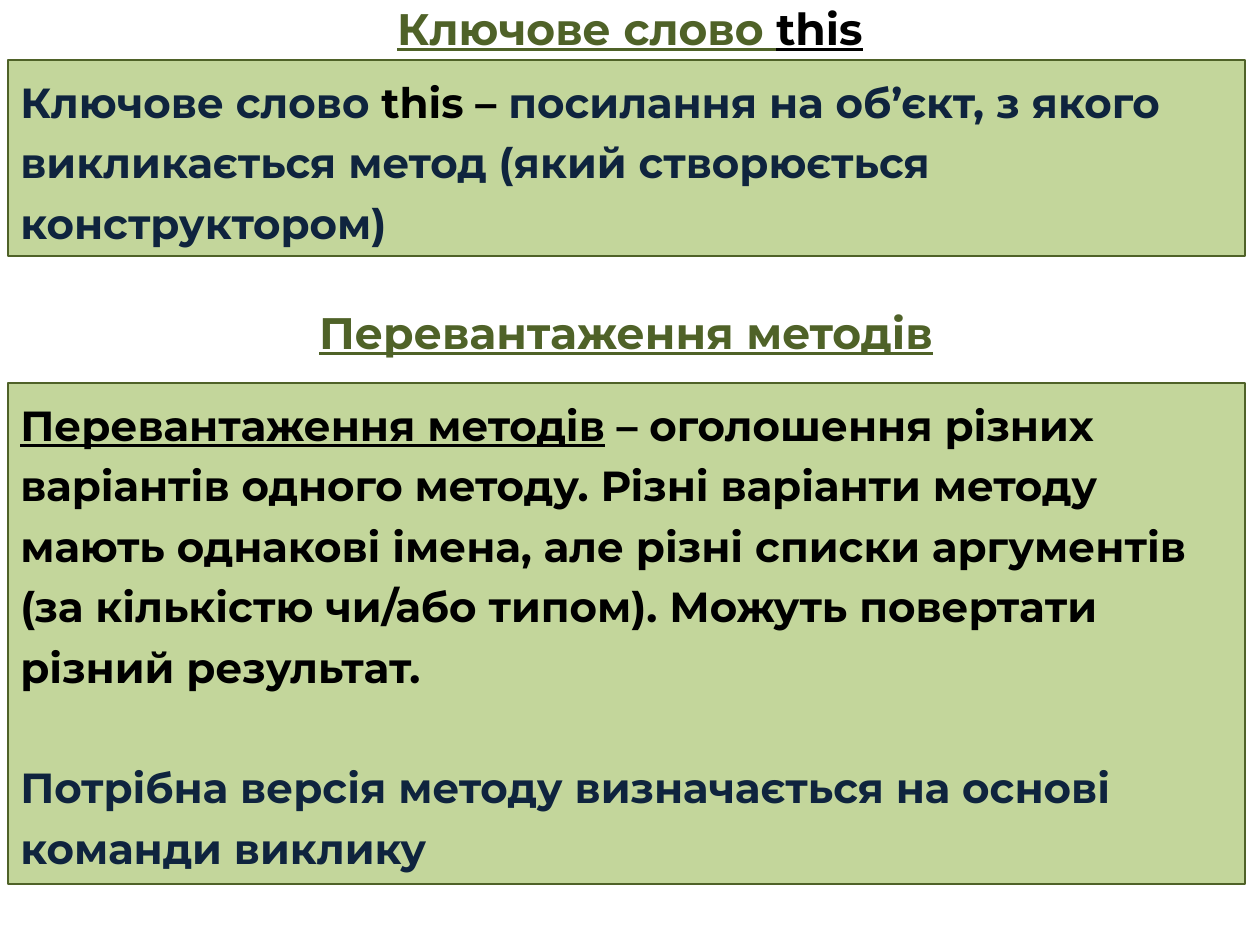
from dataclasses import dataclass

from pptx import Presentation
from pptx import util as u
from pptx.dml.color import RGBColor
from pptx.enum import shapes, text


@dataclass(frozen=True)
class Theme:
    face: str = "Montserrat"
    olive: str = "4F6228"
    leaf: str = "C3D69B"
    navy: str = "0F243E"
    black: str = "000000"
    head: float = 25.2
    body: float = 24
    gap: float = 34.5
    lead: float = 1.2


def px(num):
    return u.Emu(round(num * 914400 / 126))


def tint(code):
    return RGBColor.from_string(code)


class Deck:
    def __init__(self, theme):
        self.theme = theme
        self.file = Presentation()
        self.file.slide_width = px(1260)
        self.file.slide_height = px(945)
        self.slide = self.file.slides.add_slide(self.file.slide_layouts[6])

    def style(self, item, form):
        for key, val in form.items():
            setattr(item, key, val)

    def words(self, para, runs, size):
        for phrase, color, line in runs:
            run = para.add_run()
            run.text = phrase
            form = {"name": self.theme.face, "size": u.Pt(size),
                    "bold": True, "underline": line}
            self.style(run.font, form)
            run.font.color.rgb = tint(color)

    def head(self, place, runs):
        box = self.slide.shapes.add_textbox(*map(px, place))
        frame = box.text_frame
        self.style(frame, {"word_wrap": True,
                           "vertical_anchor": text.MSO_ANCHOR.MIDDLE})
        para = frame.paragraphs[0]
        para.alignment = text.PP_ALIGN.CENTER
        self.words(para, runs, self.theme.head)

    def panel(self, place, paras):
        box = self.slide.shapes.add_shape(
            shapes.MSO_SHAPE.RECTANGLE, *map(px, place))
        box.shadow.inherit = False
        box.fill.solid()
        box.fill.fore_color.rgb = tint(self.theme.leaf)
        box.line.color.rgb = tint(self.theme.olive)
        box.line.width = u.Pt(0.75)
        frame = box.text_frame
        self.style(frame, {"word_wrap": True,
                           "vertical_anchor": text.MSO_ANCHOR.TOP})
        for num, runs in enumerate(paras):
            para = frame.add_paragraph() if num else frame.paragraphs[0]
            form = {"alignment": text.PP_ALIGN.LEFT,
                    "line_spacing": self.theme.lead,
                    "space_before": u.Pt(self.theme.gap if num else 0)}
            self.style(para, form)
            self.words(para, runs, self.theme.body)


def main():
    theme = Theme()
    deck = Deck(theme)
    deck.head((0, 0, 1260, 55), [
        ("Ключове слово ", theme.olive, True),
        ("this", theme.black, True),
    ])
    deck.panel((8, 60, 1237, 196), [[
        ("Ключове слово ", theme.navy, False),
        ("this – ", theme.black, False),
        ("посилання на об’єкт, з якого викликається метод "
         "(який створюється конструктором)", theme.navy, False),
    ]])
    deck.head((-4, 304, 1260, 55), [
        ("Перевантаження методів", theme.olive, True),
    ])
    deck.panel((8, 383, 1237, 501), [
        [("Перевантаження методів", theme.black, True),
         (" – оголошення різних варіантів одного методу. "
          "Різні варіанти методу мають однакові імена, але різні списки "
          "аргументів (за кількістю чи/або типом). "
          "Можуть повертати різний результат.", theme.black, False)],
        [("Потрібна версія методу визначається на основі команди виклику",
          theme.navy, False)],
    ])
    deck.file.save("out.pptx")


if __name__ == "__main__":
    main()
